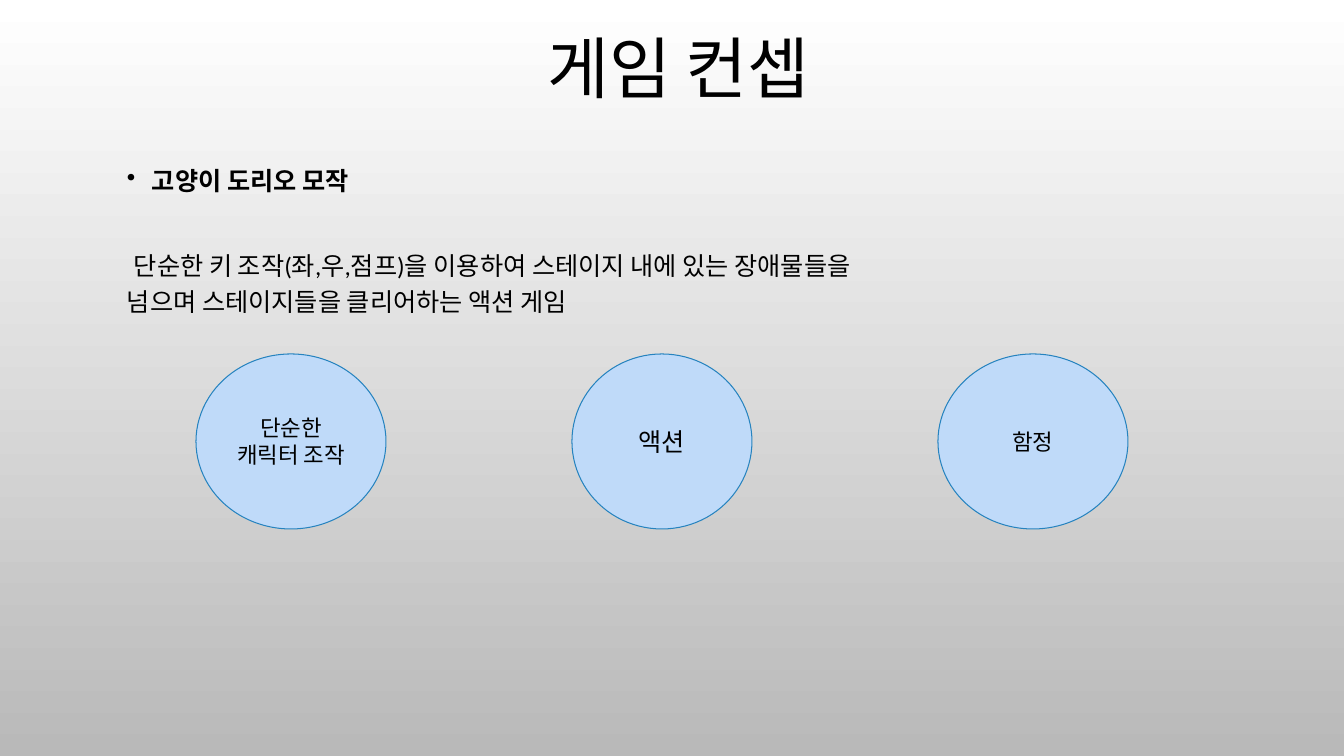
from dataclasses import dataclass

from lxml import etree
from pptx import Presentation
from pptx.dml.color import RGBColor
from pptx.enum.shapes import MSO_SHAPE
from pptx.enum.text import MSO_ANCHOR, PP_ALIGN
from pptx.oxml.ns import qn
from pptx.util import Emu, Pt

OVAL = MSO_SHAPE.OVAL
CENTER, LEFT = PP_ALIGN.CENTER, PP_ALIGN.LEFT
MIDDLE, BOTTOM = MSO_ANCHOR.MIDDLE, MSO_ANCHOR.BOTTOM

TITLE = "게임 컨셉"
HEADING = "고양이 도리오 모작"
SUMMARY = "단순한 키 조작(좌,우,점프)을 이용하여 스테이지 내에 있는 장애물들을 넘으며 스테이지들을 클리어하는 액션 게임"
FEATURES = [("단순한 캐릭터 조작", 190, 16), ("액션", 180, 18), ("함정", 190, 16)]

SLIDE_SIZE = (1344, 756)
TITLE_BOX = (225, 17, 907, 96)
CONCEPT_BOX = (117, 154, 752, 158)
FIRST_CENTER, PITCH = 291, 371
CIRCLE_TOP, CIRCLE_HEIGHT = 354, 175
BULLET_INDENT, SUMMARY_INDENT = 25, 7


@dataclass(frozen=True)
class Theme:
    font: str = "Calibri"
    text: RGBColor = RGBColor(0, 0, 0)
    fill: RGBColor = RGBColor.from_string("BFDAF9")
    line: RGBColor = RGBColor.from_string("2683BF")
    sky: RGBColor = RGBColor.from_string("FFFFFF")
    ground: RGBColor = RGBColor.from_string("B9B9B9")
    title_size: int = 48
    body_size: int = 18


THEME = Theme()


def px(length):
    return Emu(round(length * 914400 / 100.8))


def write(para, text, size, align, spacing=1.0, bold=False):
    para.text = text
    para.alignment = align
    para.line_spacing = spacing
    para.font.name = THEME.font
    para.font.size = Pt(size)
    para.font.bold = bold
    para.font.color.rgb = THEME.text


def indent(para, margin, first):
    properties = para._p.get_or_add_pPr()
    properties.set("marL", str(px(margin)))
    properties.set("indent", str(px(first)))
    return properties


def paint_background(page):
    fill = page.background.fill
    fill.gradient()
    fill.gradient_angle = 270
    for stop, color in zip(fill.gradient_stops, (THEME.sky, THEME.ground)):
        stop.color.rgb = color


def add_title(page):
    title = page.shapes.title
    title.left, title.top, title.width, title.height = map(px, TITLE_BOX)
    title.text_frame.vertical_anchor = BOTTOM
    write(title.text_frame.paragraphs[0], TITLE, THEME.title_size, CENTER, 0.9)


def add_concept(page):
    frame = page.shapes.add_textbox(*map(px, CONCEPT_BOX)).text_frame
    frame.word_wrap = True
    heading = frame.paragraphs[0]
    write(heading, HEADING, THEME.body_size, LEFT, 1.2, True)
    properties = indent(heading, BULLET_INDENT, -BULLET_INDENT)
    etree.SubElement(properties, qn("a:buChar")).set("char", "•")
    summary = frame.add_paragraph()
    write(summary, SUMMARY, THEME.body_size, LEFT, 1.2)
    summary.space_before = Pt(35)
    indent(summary, 0, SUMMARY_INDENT)


def add_features(page):
    for index, (label, width, size) in enumerate(FEATURES):
        left = FIRST_CENTER + index * PITCH - width / 2
        circle = page.shapes.add_shape(
            OVAL, px(left), px(CIRCLE_TOP), px(width), px(CIRCLE_HEIGHT)
        )
        circle.shadow.inherit = False
        circle.fill.solid()
        circle.fill.fore_color.rgb = THEME.fill
        circle.line.color.rgb = THEME.line
        circle.line.width = Pt(0.75)
        circle.text_frame.word_wrap = True
        circle.text_frame.vertical_anchor = MIDDLE
        write(circle.text_frame.paragraphs[0], label, size, CENTER)


def main():
    deck = Presentation()
    deck.slide_width, deck.slide_height = map(px, SLIDE_SIZE)
    page = deck.slides.add_slide(deck.slide_layouts[5])
    paint_background(page)
    add_title(page)
    add_features(page)
    add_concept(page)
    deck.save("out.pptx")


if __name__ == "__main__":
    main()
